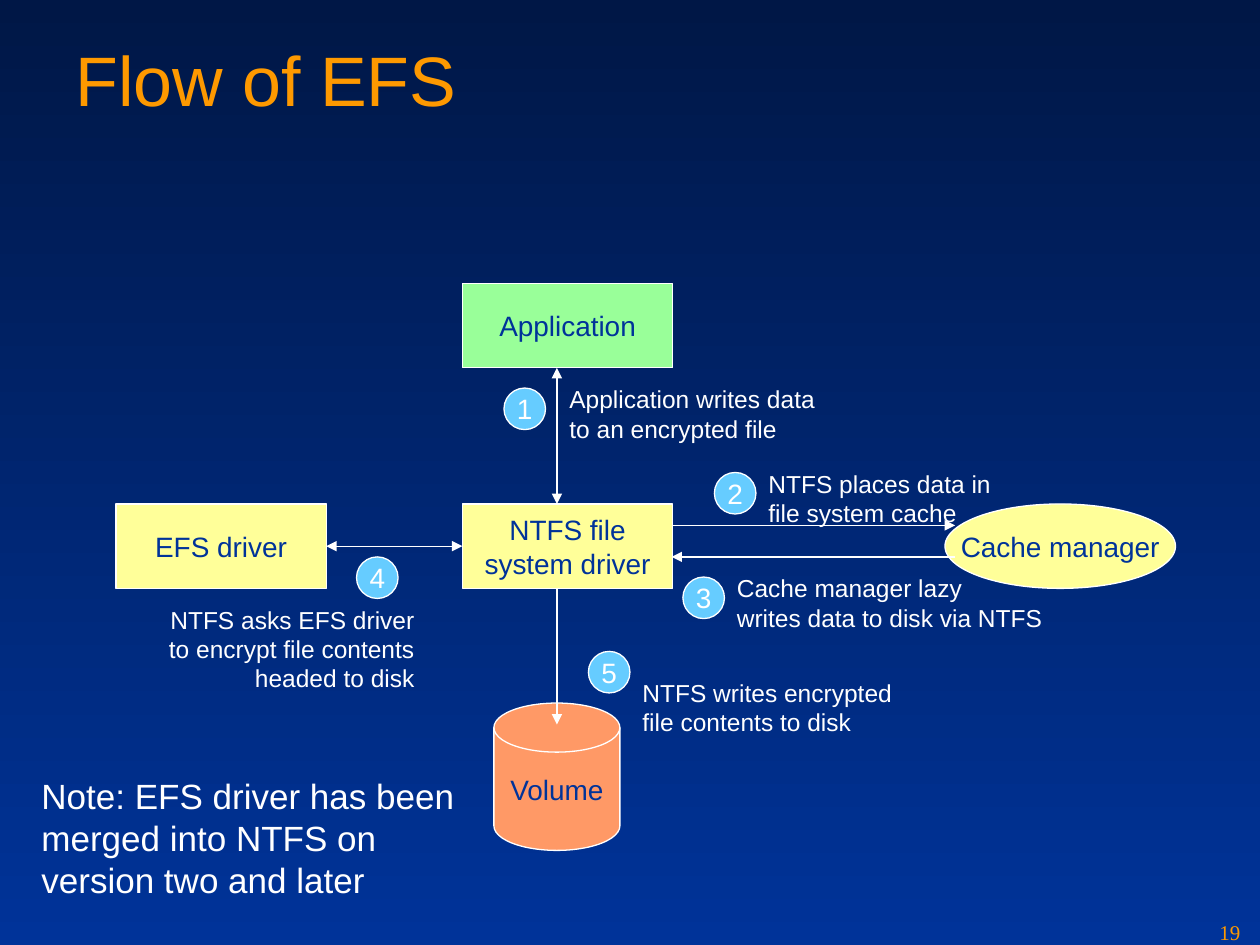
import pptx
import pptx.util
import pptx.dml.color
import pptx.enum.shapes
import pptx.enum.text
import pptx.oxml
import pptx.oxml.ns

Inches = pptx.util.Inches
Shape = pptx.enum.shapes.MSO_SHAPE
Align = pptx.enum.text.PP_ALIGN
Anchor = pptx.enum.text.MSO_ANCHOR

COLORS = {
    "night": "001746", "navy": "003399", "orange": "FE9900", "white": "FFFFFF",
    "green": "99FF99", "yellow": "FFFF99", "coral": "FF9966", "sky": "66CCFF",
}
BADGE_SIZE = 0.33

# Nodes: name, text, shape, fill, (left, top, width, height)
NODES = [
    ("application", "Application", Shape.RECTANGLE, "green", (3.67, 2.25, 1.67, 0.67)),
    ("ntfs", "NTFS file\nsystem driver", Shape.RECTANGLE, "yellow", (3.67, 4, 1.67, 0.67)),
    ("efs", "EFS driver", Shape.RECTANGLE, "yellow", (0.92, 4, 1.67, 0.67)),
    ("cache", "Cache manager", Shape.OVAL, "yellow", (7.5, 4, 1.83, 0.67)),
    ("volume", "Volume", Shape.FLOWCHART_MAGNETIC_DISK, "coral", (3.92, 5.58, 1, 1.17)),
]

# Arrows: start, end, ends that carry an arrowhead
ARROWS = [
    ((4.42, 2.92), (4.42, 4), ("headEnd", "tailEnd")),
    ((5.33, 4.17), (7.58, 4.17), ("tailEnd",)),
    ((5.33, 4.42), (7.58, 4.42), ("headEnd",)),
    ((4.42, 4.67), (4.42, 5.75), ("tailEnd",)),
]

# Numbered steps: text, text box, alignment, badge corner
STEPS = [
    ("Application writes data\nto an encrypted file", (4.42, 3, 2.25, 0.57), Align.LEFT, (4, 3.08)),
    ("NTFS places data in\nfile system cache", (6, 3.67, 2.05, 0.57), Align.LEFT, (5.67, 3.75)),
    ("Cache manager lazy\nwrites data to disk via NTFS", (5.75, 4.5, 2.7, 0.57), Align.LEFT, (5.42, 4.58)),
    ("NTFS asks EFS driver\nto encrypt file contents\nheaded to disk", (1.19, 4.75, 2.2, 0.8), Align.RIGHT, (2.83, 4.42)),
    ("NTFS writes encrypted\nfile contents to disk", (5, 5.33, 2.25, 0.57), Align.LEFT, (4.67, 5.17)),
]

TITLE = "Flow of EFS"
NOTE = "Note: EFS driver has been\nmerged into NTFS on\nversion two and later"
PAGE_NUMBER = "19"


def rgb(name):
    return pptx.dml.color.RGBColor.from_string(COLORS[name])


def write(shape, text, size, color, align=Align.LEFT, font="Arial", wrap=False):
    frame = shape.text_frame
    frame.word_wrap = wrap
    para = frame.paragraphs[0]
    para.text = text
    para.alignment = align
    para.font.name = font
    para.font.size = pptx.util.Pt(size)
    para.font.color.rgb = rgb(color)


def add_text(page, place, *args, **options):
    box = page.shapes.add_textbox(*map(Inches, place))
    write(box, *args, **options)


def outline(shape):
    shape.line.color.rgb = rgb("white")
    shape.line.width = pptx.util.Pt(0.75)


def add_node(page, kind, place, fill, text, color):
    node = page.shapes.add_shape(kind, *map(Inches, place))
    node.shadow.inherit = False
    node.fill.solid()
    node.fill.fore_color.rgb = rgb(fill)
    outline(node)
    write(node, text, 16, color, Align.CENTER)
    node.text_frame.vertical_anchor = Anchor.MIDDLE
    return node


def add_arrow(page, start, end, heads):
    arrow = page.shapes.add_connector(
        pptx.enum.shapes.MSO_CONNECTOR.STRAIGHT, *map(Inches, start + end))
    outline(arrow)
    line = arrow.line._get_or_add_ln()
    for head in heads:
        line.append(pptx.oxml.parse_xml(
            f'<a:{head} {pptx.oxml.ns.nsdecls("a")} type="triangle"/>'))
    arrow._element.spPr.append(pptx.oxml.parse_xml(
        f'<a:effectLst {pptx.oxml.ns.nsdecls("a")}/>'))
    return arrow


def main():
    deck = pptx.Presentation()
    deck.slide_width, deck.slide_height = Inches(10), Inches(7.5)
    page = deck.slides.add_slide(deck.slide_layouts[6])

    # Background, dark at the top
    backdrop = page.background.fill
    backdrop.gradient()
    backdrop.gradient_angle = 270
    for stop, name in zip(backdrop.gradient_stops, ("night", "navy")):
        stop.color.rgb = rgb(name)

    add_text(page, (0.5, 0.24, 9, 1.25), TITLE, 40, "orange", wrap=True)

    # Components and the arrows between them
    nodes = {name: add_node(page, kind, place, fill, text, "navy")
             for name, text, kind, fill, place in NODES}
    for arrow in ARROWS:
        add_arrow(page, *arrow)
    link = add_arrow(page, (3.67, 4.33), (2.58, 4.33), ("headEnd", "tailEnd"))
    link.begin_connect(nodes["ntfs"], 1)
    link.end_connect(nodes["efs"], 3)

    # Numbered steps
    for number, (text, place, align, corner) in enumerate(STEPS, 1):
        add_text(page, place, text, 14, "white", align)
        add_node(page, Shape.OVAL, corner + (BADGE_SIZE, BADGE_SIZE),
                 "sky", str(number), "white")

    # Note and page number
    add_text(page, (0.23, 6.1, 3.48, 1.1), NOTE, 20, "white")
    add_text(page, (9.58, 7.25, 0.42, 0.25), PAGE_NUMBER, 12, "orange",
             font="Times New Roman", wrap=True)

    deck.save("out.pptx")


if __name__ == "__main__":
    main()
